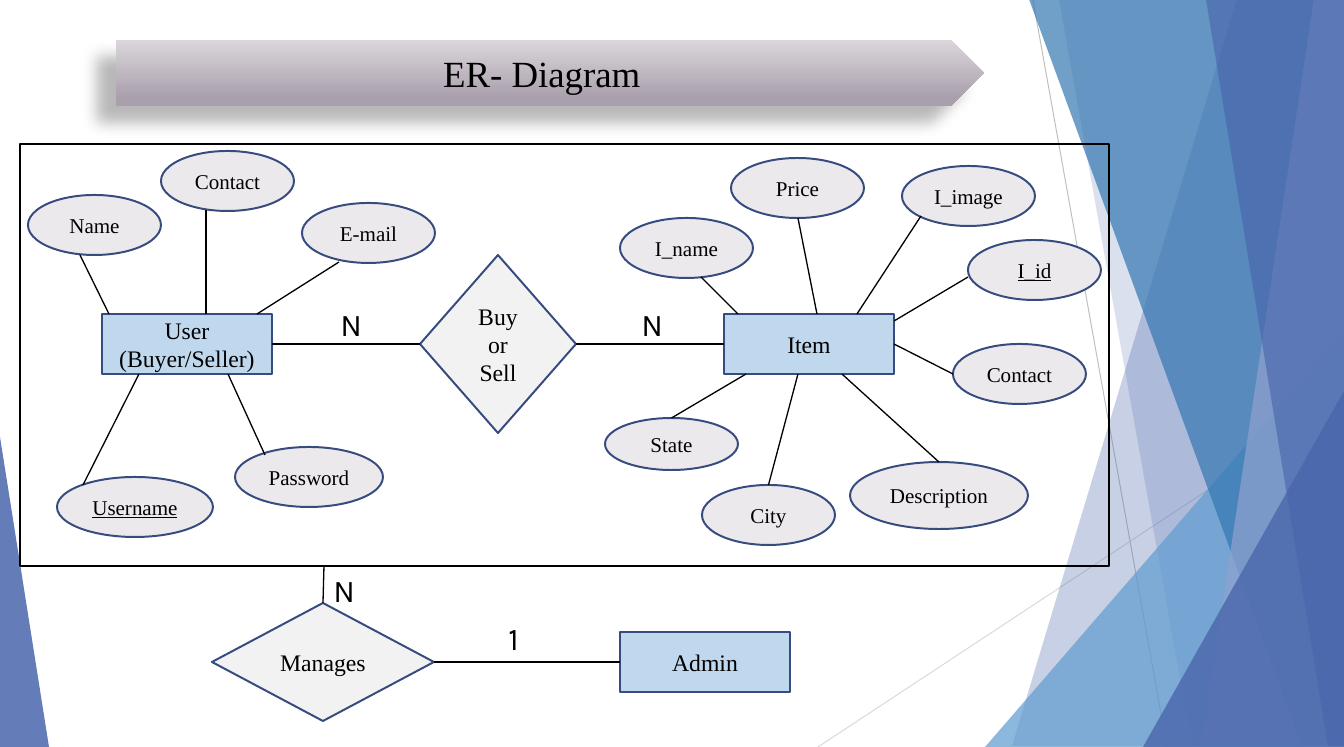
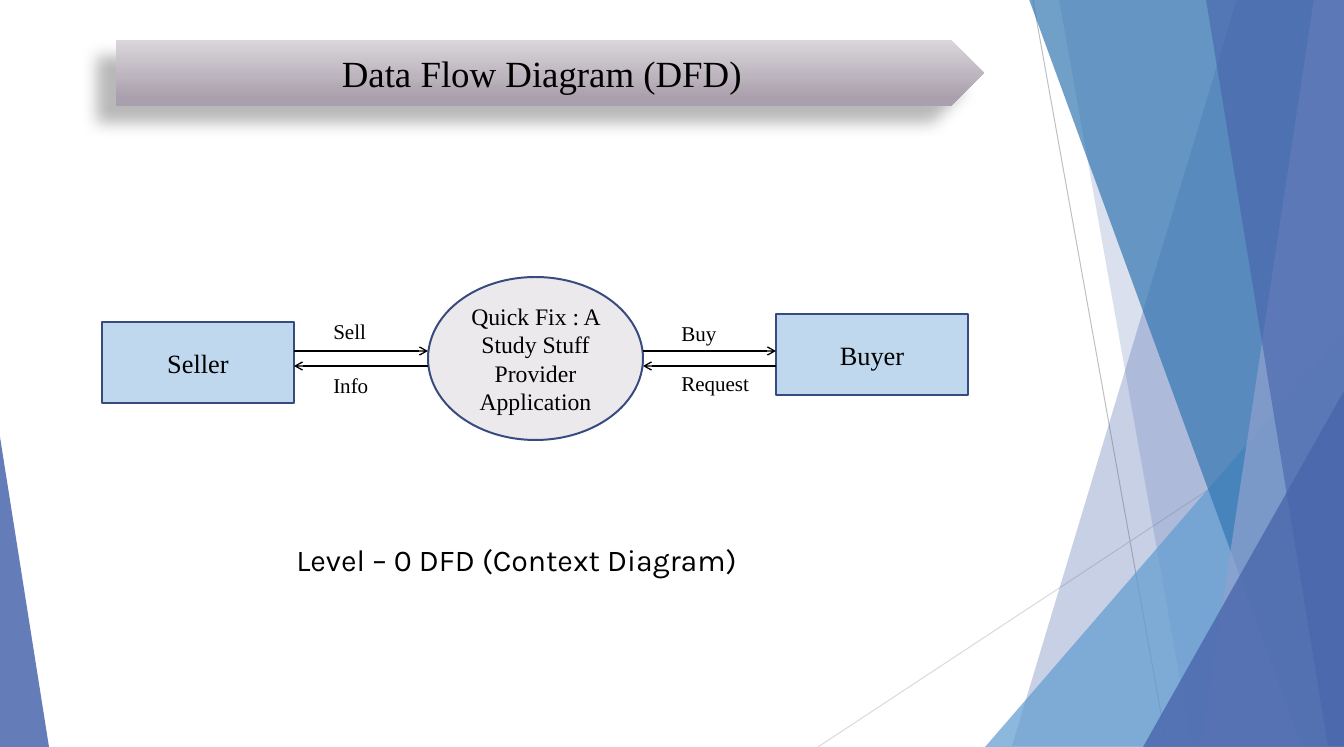
from dataclasses import dataclass
from typing import Any, Optional

import lxml.etree
import pptx
import pptx.dml.color
import pptx.enum.shapes
import pptx.enum.text
import pptx.oxml.ns
import pptx.util

PX = 9646  # EMU per px
WIDE, HIGH = 1344, 747
SERIF, SANS = "Times New Roman", "Karla"
BLACK, NAVY = "000000", "374B7F"
BLUE, SKY, TEAL, PALE = "4A66AC", "629DD1", "3477B2", "90A2CF"

KIND = pptx.enum.shapes.MSO_SHAPE
ALIGN = pptx.enum.text.PP_ALIGN
FILLS = {KIND.RECTANGLE: "C0D8ED", KIND.OVAL: "EBE9EC", KIND.DIAMOND: "F2F2F2"}
TOP, LEFT, BOTTOM, RIGHT = range(4)


@dataclass
class Node:
    kind: Any
    text: str
    x: int
    y: int
    w: int
    h: int
    size: int
    under: bool = False


@dataclass
class Wire:
    x1: int
    y1: int
    x2: int
    y2: int
    start: Optional[tuple[str, int]] = None
    end: Optional[tuple[str, int]] = None
    arrow: bool = False
    color: str = BLACK
    width: float = 1


@dataclass
class Label:
    text: str
    x: int
    y: int
    w: int
    h: int
    size: int
    font: str = SERIF


@dataclass
class Facet:
    points: list[tuple[int, int]]
    color: str
    alpha: int


@dataclass
class Wedge:
    x: int
    y: int
    w: int
    h: int
    tip: int
    color: str
    alpha: int


def oval(text: str, x: int, y: int, w: int = 133, h: int = 60, under: bool = False) -> Node:
    return Node(KIND.OVAL, text, x, y, w, h, 16, under)


def box(text: str, x: int, y: int, w: int = 170, h: int = 60, size: int = 18) -> Node:
    return Node(KIND.RECTANGLE, text, x, y, w, h, size)


def gem(text: str, x: int, y: int, w: int, h: int) -> Node:
    return Node(KIND.DIAMOND, text, x, y, w, h, 18)


def sign(text: str, x: int, y: int) -> Label:
    return Label(text, x, y, 40, 47, 24, SANS)


def panel(x: int, color: str, alpha: int, top: int, base: int, right: int = WIDE) -> Facet:
    """Slanted panel from the upper to the lower edge; x is unused space at its left."""
    return Facet([(max(x, top), -1), (right, -1), (right, 746), (base, 746)], color, alpha)


# Shared backdrop, from back to front
RAYS = [
    Wire(1033, 0, 1167, HIGH, color="BFBFBF", width=0.75),
    Wire(1343, 401, 818, HIGH, color="D9D9D9", width=0.75),
]
DECOR = [
    panel(0, BLUE, 30, 1237, 1012),
    panel(0, BLUE, 20, 1059, 1192),
    Wedge(985, 332, 359, 415, 1, SKY, 72),
    panel(0, TEAL, 70, 1029, 1302),
    panel(0, PALE, 70, 1314, 1201),
    panel(0, BLUE, 65, 1206, 1328),
    Wedge(1143, 391, 201, 356, 1, BLUE, 80),
    Wedge(0, 437, 49, 310, 0, BLUE, 85),
]

# ER diagram
ER_NODES = [
    box("User\n(Buyer/Seller)", 102, 314),
    box("Item", 724, 314),
    box("Admin", 620, 632),
    gem("Buy\nor\nSell", 420, 255, 156, 178),
    gem("Manages", 212, 603, 222, 118),
    oval("Name", 28, 195),
    oval("Contact", 161, 151),
    oval("E-mail", 302, 203),
    oval("Username", 57, 477, 156, under=True),
    oval("Password", 235, 447, 148),
    oval("I_name", 620, 218),
    oval("Price", 731, 158),
    oval("I_image", 902, 166),
    oval("I_id", 968, 240, under=True),
    oval("Contact", 953, 344),
    oval("State", 605, 418, h=52),
    oval("City", 702, 485),
    oval("Description", 850, 462, 178, 67),
]
ER_WIRES = [
    Wire(272, 344, 420, 344, ("User", RIGHT), ("Buy", LEFT)),
    Wire(576, 344, 724, 344, ("Buy", RIGHT), ("Item", LEFT)),
    Wire(434, 662, 620, 662, ("Manages", RIGHT), ("Admin", LEFT)),
    Wire(323, 603, 324, 566, ("Manages", TOP)),
    Wire(80, 255, 109, 314),
    Wire(206, 314, 206, 210),
    Wire(257, 314, 339, 262),
    Wire(83, 485, 139, 374),
    Wire(265, 455, 228, 374),
    Wire(701, 277, 738, 314),
    Wire(798, 218, 817, 314),
    Wire(857, 314, 921, 216),
    Wire(894, 321, 968, 277),
    Wire(894, 344, 953, 374, ("Item", RIGHT)),
    Wire(746, 374, 672, 418, end=("State", TOP)),
    Wire(798, 374, 768, 485, end=("City", TOP)),
    Wire(842, 374, 939, 462, end=("Description", TOP)),
]
ER_LABELS = [sign("N", 331, 300), sign("N", 632, 300), sign("N", 324, 566), sign("1", 499, 614)]

# Data flow diagram
DFD_NODES = [
    box("Seller", 102, 322, 192, 81, 20),
    box("Buyer", 776, 314, 192, 81, 20),
    Node(KIND.OVAL, "Quick Fix : A Study Stuff Provider Application", 428, 277, 215, 163, 18),
]
DFD_WIRES = [
    Wire(294, 351, 428, 351, arrow=True),
    Wire(643, 351, 776, 351, arrow=True),
    Wire(776, 366, 643, 366, arrow=True),
    Wire(428, 366, 294, 366, arrow=True),
]
DFD_LABELS = [
    Label("Sell", 324, 314, 66, 35, 16),
    Label("Info", 324, 368, 66, 35, 16),
    Label("Buy", 672, 316, 66, 35, 16),
    Label("Request", 672, 366, 97, 35, 16),
    Label("Level – 0 DFD (Context Diagram)", 287, 537, 489, 46, 23, SANS),
]


def rgb(color: str) -> pptx.dml.color.RGBColor:
    return pptx.dml.color.RGBColor.from_string(color)


def add(parent: Any, tag: str, **attrs: str) -> Any:
    return lxml.etree.SubElement(parent, pptx.oxml.ns.qn(tag), attrs)


def span(*lengths: int) -> list[int]:
    return [n * PX for n in lengths]


def write(frame: Any, text: str, size: int, font: str = SERIF,
          align: Any = ALIGN.CENTER, under: Optional[bool] = None) -> None:
    frame.text = text
    for para in frame.paragraphs:
        para.alignment = align
        para.font.name = font
        para.font.size = pptx.util.Pt(size)
        para.font.color.rgb = rgb(BLACK)
        para.font.underline = under


def shape(slide: Any, kind: Any, x: int, y: int, w: int, h: int) -> Any:
    item = slide.shapes.add_shape(kind, *span(x, y, w, h))
    item.shadow.inherit = False
    return item


def edge(item: Any, color: str) -> None:
    item.line.color.rgb = rgb(color)
    item.line.width = pptx.util.Pt(1.5)


def tint(item: Any, color: str, alpha: int) -> None:
    item.shadow.inherit = False
    item.fill.solid()
    item.fill.fore_color.rgb = rgb(color)
    item.line.fill.background()
    for mark in item.element.spPr.iter(pptx.oxml.ns.qn("a:srgbClr")):
        add(mark, "a:alpha", val=str(alpha * 1000))


def draw_node(slide: Any, node: Node) -> Any:
    item = shape(slide, node.kind, node.x, node.y, node.w, node.h)
    item.fill.solid()
    item.fill.fore_color.rgb = rgb(FILLS[node.kind])
    edge(item, NAVY)
    item.text_frame.vertical_anchor = pptx.enum.text.MSO_ANCHOR.MIDDLE
    write(item.text_frame, node.text, node.size, under=node.under or None)
    return item


def draw_wire(slide: Any, wire: Wire, nodes: dict[str, Any]) -> None:
    line = slide.shapes.add_connector(
        pptx.enum.shapes.MSO_CONNECTOR.STRAIGHT, *span(wire.x1, wire.y1, wire.x2, wire.y2))
    line.line.color.rgb = rgb(wire.color)
    line.line.width = pptx.util.Pt(wire.width)
    if wire.arrow:
        add(line.line._get_or_add_ln(), "a:tailEnd", type="arrow")
    add(line.element.spPr, "a:effectLst")
    if wire.start:
        line.begin_connect(nodes[wire.start[0]], wire.start[1])
    if wire.end:
        line.end_connect(nodes[wire.end[0]], wire.end[1])


def draw_label(slide: Any, label: Label) -> None:
    item = slide.shapes.add_textbox(*span(label.x, label.y, label.w, label.h))
    item.text_frame.word_wrap = len(label.text) > 1
    item.text_frame.auto_size = pptx.enum.text.MSO_AUTO_SIZE.SHAPE_TO_FIT_TEXT
    write(item.text_frame, label.text, label.size, label.font, ALIGN.LEFT)


def draw_decor(slide: Any) -> None:
    for ray in RAYS:
        draw_wire(slide, ray, {})
    for part in DECOR:
        if isinstance(part, Wedge):
            item = shape(slide, KIND.ISOSCELES_TRIANGLE, part.x, part.y, part.w, part.h)
            item.adjustments[0] = part.tip
        else:
            pen = slide.shapes.build_freeform(*part.points[0], scale=PX)
            pen.add_line_segments(part.points[1:], close=True)
            item = pen.convert_to_shape()
        tint(item, part.color, part.alpha)


def draw_title(slide: Any, text: str) -> None:
    item = shape(slide, KIND.PENTAGON, 116, 40, 868, 66)
    item.fill.gradient()
    item.fill.gradient_angle = 270
    for stop, (place, color) in zip(item.fill.gradient_stops, [(0, "DAD6DA"), (0.88, "AAA0AD")]):
        stop.position = place
        stop.color.rgb = rgb(color)
    item.line.fill.background()
    glow = add(item.element.spPr.find(pptx.oxml.ns.qn("a:effectLst")), "a:outerShdw",
               blurRad=str(pptx.util.Pt(11.8)), dist=str(pptx.util.Pt(19.7)),
               dir=str(141 * 60000), rotWithShape="0")
    add(add(glow, "a:srgbClr", val=BLACK), "a:alpha", val="28000")
    item.text_frame.vertical_anchor = pptx.enum.text.MSO_ANCHOR.MIDDLE
    write(item.text_frame, text, 28)


def draw_slide(deck: Any, title: str, nodes: list[Node], wires: list[Wire],
               labels: list[Label]) -> Any:
    slide = deck.slides.add_slide(deck.slide_layouts[6])
    draw_decor(slide)
    draw_title(slide, title)
    drawn = {node.text.split("\n")[0]: draw_node(slide, node) for node in nodes}
    for wire in wires:
        draw_wire(slide, wire, drawn)
    for label in labels:
        draw_label(slide, label)
    return slide


def main() -> None:
    deck = pptx.Presentation()
    deck.slide_width, deck.slide_height = span(WIDE, HIGH)
    chart = draw_slide(deck, "ER- Diagram", ER_NODES, ER_WIRES, ER_LABELS)
    # Frame around the user and item part
    frame = shape(chart, KIND.RECTANGLE, 20, 144, 1089, 422)
    frame.fill.background()
    edge(frame, BLACK)
    draw_slide(deck, "Data Flow Diagram (DFD)", DFD_NODES, DFD_WIRES, DFD_LABELS)
    deck.save("out.pptx")


if __name__ == "__main__":
    main()
